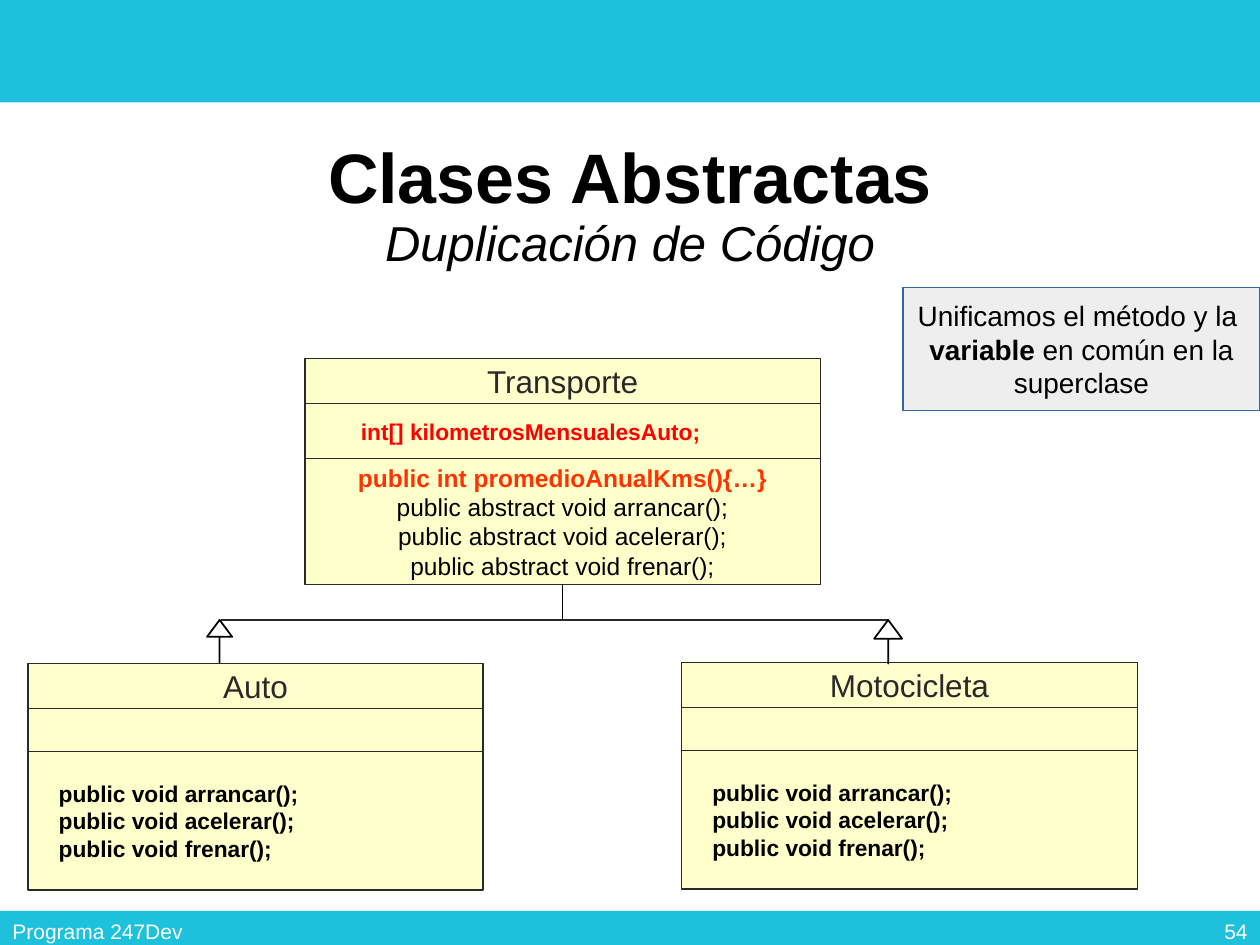
from lxml.etree import SubElement
from pptx import Presentation
from pptx.dml.color import RGBColor
from pptx.enum.shapes import MSO_CONNECTOR, MSO_SHAPE
from pptx.enum.text import MSO_ANCHOR, PP_ALIGN
from pptx.oxml.ns import qn
from pptx.util import Pt

WIDTH, HEIGHT = 720, 540
CYAN, CREAM, INK, BLACK, WHITE = "1DC1DC", "FFFFCC", "292929", "000000", "FFFFFF"

NAME = dict(size=18, color=INK)
CODE = dict(size=13, color=BLACK, bold=True)
FIELD = dict(CODE, color="FF0000")
ABSTRACT = dict(size=14, color=BLACK)
SHARED = dict(size=14, color="FF3300", bold=True)
NOTE = dict(size=16, color=BLACK)
FOOTER = dict(size=12, color=WHITE)

BANDS = [(0, 0, WIDTH, 58.5), (0, 520.5, WIDTH, 22.5)]
TITLE = [[("Clases Abstractas", dict(size=40, color=BLACK, bold=True)),
          ("Duplicación de Código", dict(size=28, color=BLACK, italic=True))]]
FOOTERS = [("Programa 247Dev", 0, 243, PP_ALIGN.LEFT), ("54", 558, 162, PP_ALIGN.RIGHT)]
REMARK = [[("Unificamos el método y la ", NOTE)],
          [("variable", dict(NOTE, bold=True)), (" en común en la", NOTE)],
          [("superclase", NOTE)]]

ACTIONS = ["arrancar", "acelerar", "frenar"]
FIELDS = [[("int[] kilometrosMensualesAuto;", FIELD)]]
ABSTRACT_METHODS = [[("public int promedioAnualKms(){…}", SHARED)]] + [
    [(f"public abstract void {action}();", ABSTRACT)] for action in ACTIONS]
METHODS = [[(f"public void {action}();", CODE)] for action in ACTIONS]

PARENT_ROWS, CHILD_ROWS = (25.5, 31.5, 72), (26, 24.5, 79)
CLASSES = [
    ("Transporte", 174.25, 205, 294.5, PARENT_ROWS, FIELDS, ABSTRACT_METHODS, PP_ALIGN.CENTER, 32),
    ("Auto", 16, 379, 260, CHILD_ROWS, [], METHODS, PP_ALIGN.LEFT, 17.6),
    ("Motocicleta", 389.5, 378.5, 260.5, CHILD_ROWS, [], METHODS, PP_ALIGN.LEFT, 17.6),
]
BRANCH_Y = 354.25
ARROWS = [(118.8, 14.4, 24.5), (500, 16, 25)]


def rgb(color):
    return RGBColor.from_string(color)


def write(box, paragraphs, align=PP_ALIGN.CENTER, inset=7.2, break_runs=False, spacing=1.0):
    frame = box.text_frame
    layout = dict(word_wrap=True, vertical_anchor=MSO_ANCHOR.MIDDLE, margin_left=Pt(inset),
                  margin_right=Pt(7.2), margin_top=Pt(3.6), margin_bottom=Pt(3.6))
    for key, value in layout.items():
        setattr(frame, key, value)
    for index, pieces in enumerate(paragraphs):
        paragraph = frame.add_paragraph() if index else frame.paragraphs[0]
        paragraph.alignment = align
        paragraph.line_spacing = spacing
        for position, (words, style) in enumerate(pieces):
            if position and break_runs:
                paragraph.add_line_break()
            run = paragraph.add_run()
            run.text = words
            run.font.color.rgb = rgb(style["color"])
            font = dict(name="Arial", size=Pt(style["size"]), bold=style.get("bold", False),
                        italic=style.get("italic", False))
            for key, value in font.items():
                setattr(run.font, key, value)


def add_text(slide, place, paragraphs, **options):
    write(slide.shapes.add_textbox(*map(Pt, place)), paragraphs, **options)


def add_box(slide, kind, place, fill, line=None, weight=0.75):
    box = slide.shapes.add_shape(kind, *map(Pt, place))
    box.shadow.inherit = False
    box.fill.solid()
    box.fill.fore_color.rgb = rgb(fill)
    if line:
        box.line.color.rgb = rgb(line)
        box.line.width = Pt(weight)
    else:
        box.line.fill.background()
    return box


def add_line(slide, ends, color, weight):
    line = slide.shapes.add_connector(MSO_CONNECTOR.STRAIGHT, *map(Pt, ends))
    line.line.color.rgb = rgb(color)
    line.line.width = Pt(weight)
    SubElement(line._element.spPr, qn("a:effectLst"))


def add_class(slide, name, left, top, width, rows, fields, methods, align, inset):
    parts = [
        (MSO_SHAPE.RECTANGLE, [[(name, NAME)]], PP_ALIGN.CENTER, 7.2),
        (MSO_SHAPE.FLOWCHART_PROCESS, fields, PP_ALIGN.LEFT, inset),
        (MSO_SHAPE.FLOWCHART_PROCESS, methods, align, 7.2 if align == PP_ALIGN.CENTER else inset),
    ]
    for height, (kind, paragraphs, alignment, indent) in zip(rows, parts):
        box = add_box(slide, kind, (left, top, width, height), CREAM, INK)
        write(box, paragraphs, align=alignment, inset=indent)
        top += height


def add_inheritance(slide):
    centers = [left + width / 2 for left, width, _ in ARROWS]
    add_line(slide, (centers[0], BRANCH_Y, centers[1], BRANCH_Y), INK, 0.75)
    for left, width, height in ARROWS:
        arrow = add_box(slide, MSO_SHAPE.DOWN_ARROW, (left - 0.5, BRANCH_Y, width, height),
                        WHITE, BLACK, 1)
        arrow.rotation = 180
        arrow.adjustments[0] = 0
        arrow.adjustments[1] = 0.67
    _, left, top, width, rows, *_ = CLASSES[0]
    middle = left + width / 2
    add_line(slide, (middle, top + sum(rows), middle, BRANCH_Y), BLACK, 0.5)


def main():
    deck = Presentation()
    deck.slide_width, deck.slide_height = Pt(WIDTH), Pt(HEIGHT)
    slide = deck.slides.add_slide(deck.slide_layouts[6])
    for place in BANDS:
        add_box(slide, MSO_SHAPE.RECTANGLE, place, CYAN)
    add_text(slide, (49.5, 70.5, 621, 96), TITLE, break_runs=True, spacing=0.9)
    for words, left, width, align in FOOTERS:
        add_text(slide, (left, 518, width, 28.75), [[(words, FOOTER)]], align=align)
    remark = add_box(slide, MSO_SHAPE.RECTANGLE, (516, 164.25, 204, 70.5), "EEEEEE", "3465A4")
    write(remark, REMARK)
    for uml_class in CLASSES:
        add_class(slide, *uml_class)
    add_inheritance(slide)
    deck.save("out.pptx")


if __name__ == "__main__":
    main()
